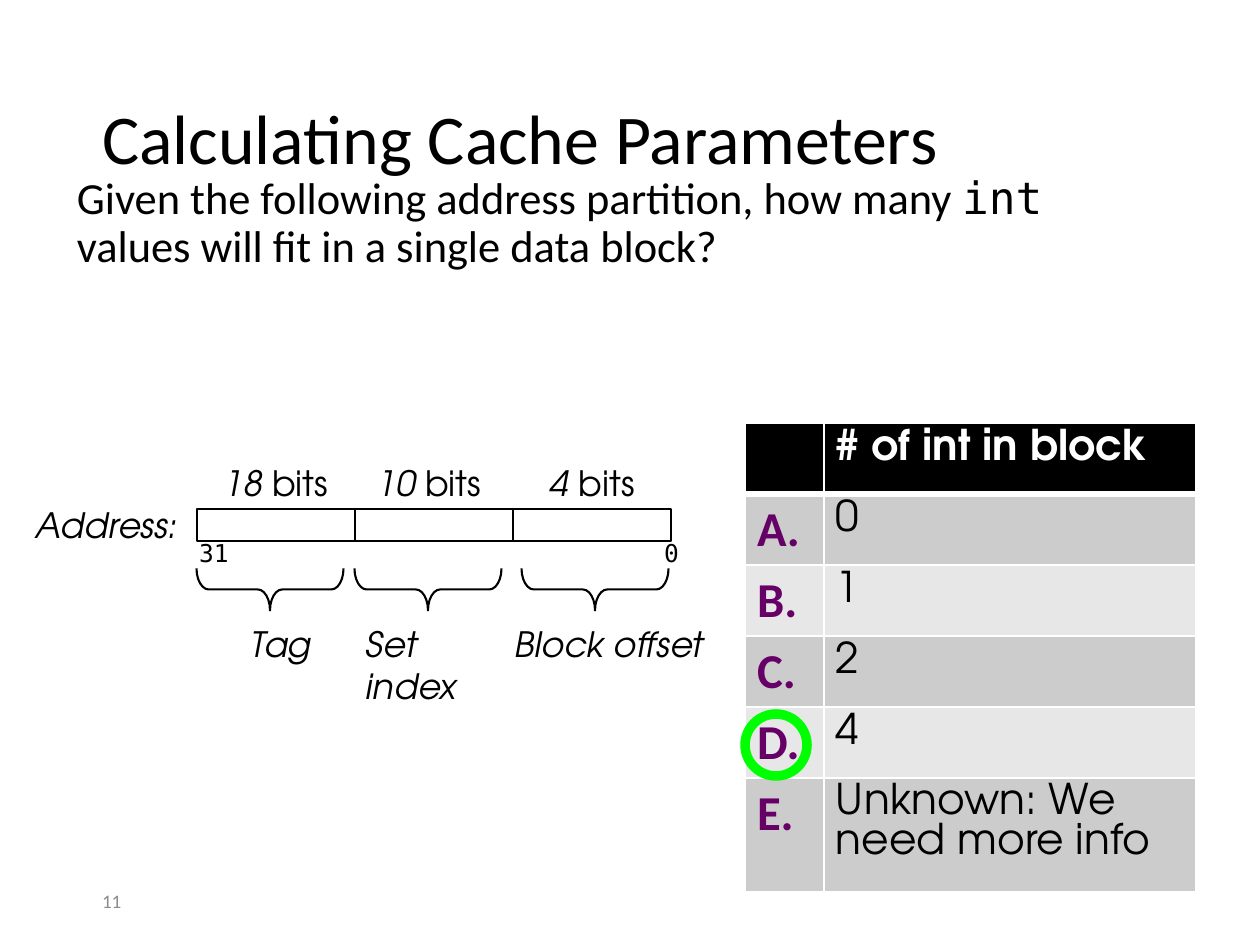
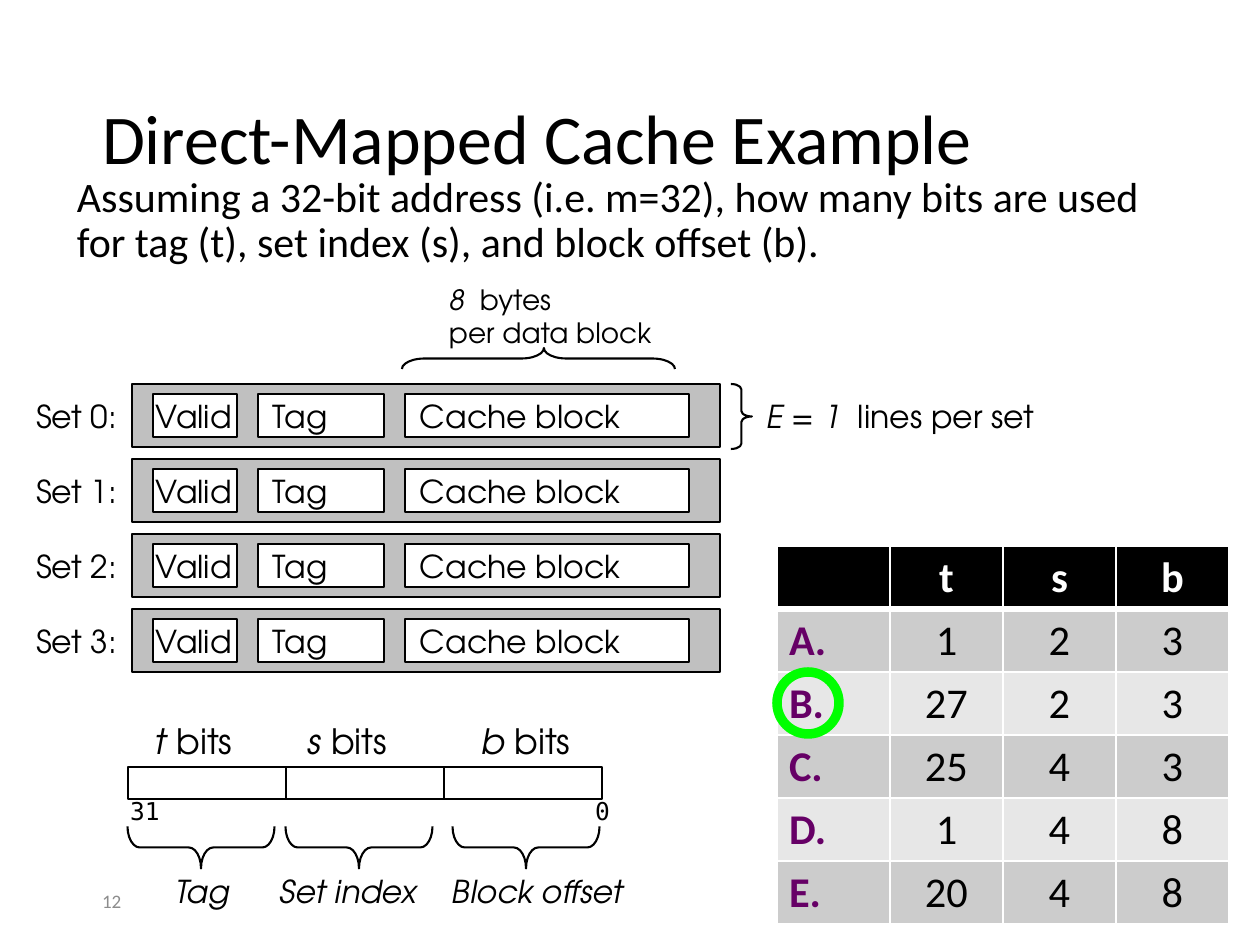
"""Build two lecture slides about cache addresses."""
import lxml.etree
import pptx
import pptx.dml.color
import pptx.enum.shapes
import pptx.enum.text
import pptx.oxml.ns
import pptx.util

RGB = pptx.dml.color.RGBColor
SHAPE = pptx.enum.shapes.MSO_SHAPE
ANCHOR = pptx.enum.text.MSO_ANCHOR
ALIGN = pptx.enum.text.PP_ALIGN
PX = 6000

BLACK = RGB(0x00, 0x00, 0x00)
WHITE = RGB(0xFF, 0xFF, 0xFF)
GREY = RGB(0x8C, 0x8C, 0x8C)
SILVER = RGB(0xC0, 0xC0, 0xC0)
PURPLE = RGB(0x66, 0x00, 0x66)
GREEN = RGB(0x00, 0xFF, 0x00)
BANDS = (RGB(0xE7, 0xE7, 0xE7), RGB(0xCC, 0xCC, 0xCC))

SANS = "Calibri"
MONO = "DejaVu Sans Mono"
GEO = "TeX Gyre Adventor"
DEFAULT_PAD = (15, 8, 15, 8)
TIGHT_PAD = (12, 6, 12, 6)
ITALIC = {"italic": True}


class Deck:
    """Hold the presentation style and the current slide."""

    def __init__(self, width, height):
        self.prs = pptx.Presentation()
        self.prs.slide_width = width * PX
        self.prs.slide_height = height * PX
        self.s = None

    def slide(self, title, body, size, number):
        self.s = self.prs.slides.add_slide(self.prs.slide_layouts[6])
        self.text((87, 50, 1087, 183), title, 33, SANS, wrap=True,
                  para={"line_spacing": 0.9})
        self.text((62, 168, 1113, 116), body, size, SANS, wrap=True,
                  anchor=ANCHOR.TOP,
                  para={"line_spacing": 0.9, "space_before": pptx.util.Pt(7.5)})
        self.text((87, 876, 283, 50), number, 9, SANS, GREY, wrap=True)

    def fill_text(self, tf, content, size, font, color=BLACK, para=None, **style):
        paragraphs = [[(content, {})]] if isinstance(content, str) else content
        for i, runs in enumerate(paragraphs):
            p = tf.add_paragraph() if i else tf.paragraphs[0]
            for key, value in {"alignment": ALIGN.LEFT, **(para or {})}.items():
                setattr(p, key, value)
            for text, changes in runs:
                r = p.add_run()
                r.text = text
                values = {"name": font, "size": pptx.util.Pt(size), **style, **changes}
                for key, value in values.items():
                    setattr(r.font, key, value)
                r.font.color.rgb = color

    def frame(self, tf, pad, anchor, wrap):
        sides = ("margin_left", "margin_top", "margin_right", "margin_bottom")
        values = {side: value * PX for side, value in zip(sides, pad)}
        values.update(vertical_anchor=anchor, word_wrap=wrap)
        for key, value in values.items():
            setattr(tf, key, value)

    def text(self, box, content, size, font=GEO, color=BLACK, pad=DEFAULT_PAD,
             anchor=ANCHOR.MIDDLE, wrap=False, para=None, **style):
        tf = self.s.shapes.add_textbox(*(v * PX for v in box)).text_frame
        self.frame(tf, pad, anchor, wrap)
        self.fill_text(tf, content, size, font, color, para, **style)

    def caption(self, box, content, size, wrap=False, **style):
        self.text(box, content, size, pad=TIGHT_PAD, anchor=ANCHOR.TOP,
                  wrap=wrap, **style)

    def shape(self, kind, box, fill=None, line=BLACK, weight=1):
        sp = self.s.shapes.add_shape(kind, *(v * PX for v in box))
        sp.shadow.inherit = False
        if fill is None:
            sp.fill.background()
        else:
            sp.fill.solid()
            sp.fill.fore_color.rgb = fill
        sp.line.color.rgb = line
        sp.line.width = pptx.util.Pt(weight)
        return sp

    def field(self, box, label, pad=DEFAULT_PAD):
        tf = self.shape(SHAPE.RECTANGLE, box, WHITE).text_frame
        self.frame(tf, pad, ANCHOR.MIDDLE, False)
        self.fill_text(tf, label, 14.9, GEO)

    def brace(self, box, adjust, turn=0):
        x, y, w, h = box
        if turn:
            x, y, w, h = x + (w - h) // 2, y + (h - w) // 2, h, w
        sp = self.shape(SHAPE.RIGHT_BRACE, (x, y, w, h))
        sp.rotation = turn
        for i, value in enumerate(adjust):
            sp.adjustments[i] = value

    def ring(self, x, y):
        self.shape(SHAPE.OVAL, (x, y, 62, 62), line=GREEN, weight=4.5)

    def address(self, x, y, bits, names, size):
        for i, (left, (letter, width)) in enumerate(zip((15, 168, 341), bits)):
            self.caption((x + left, y - 53, width, 55),
                         [[(letter + " ", ITALIC), ("bits", {})]], 16.5)
            self.shape(SHAPE.RECTANGLE, (x + i * 158, y, 158, 32))
        for left, width, label in ((-13, 61, "31"), (452, 46, "0")):
            self.text((x + left, y + 21, width, 46), label, 11.6, MONO)
        for left in (0, 158, 325):
            self.brace((x + left, y + 60, 147, 42), (0.29, 0.5), 90)
        for label, left, top, width, height, wrap in names:
            self.caption((x + left, y + top, width, height), label, size, wrap,
                         italic=True)

    def borders(self, cell, row):
        weights = {"L": 1, "R": 1, "T": 3 if row == 1 else 1, "B": 1 if row else 3}
        tag = pptx.oxml.ns.qn
        props = cell._tc.get_or_add_tcPr()
        for side, weight in weights.items():
            ln = lxml.etree.SubElement(props, tag("a:ln" + side),
                                       w=str(pptx.util.Pt(weight)))
            fill = lxml.etree.SubElement(ln, tag("a:solidFill"))
            lxml.etree.SubElement(fill, tag("a:srgbClr"), val=str(WHITE))

    def table(self, x, y, cols, heights, rows, key_size, font, para):
        box = (x, y, sum(cols), sum(heights))
        table = self.s.shapes.add_table(len(rows), len(cols),
                                        *(v * PX for v in box)).table
        for col, width in zip(table.columns, cols):
            col.width = width * PX
        for i, (values, height) in enumerate(zip(rows, heights)):
            table.rows[i].height = height * PX
            for j, value in enumerate(values):
                cell = table.cell(i, j)
                self.borders(cell, i)
                cell.fill.solid()
                cell.fill.fore_color.rgb = BANDS[i % 2] if i else BLACK
                self.frame(cell, TIGHT_PAD, ANCHOR.TOP, True)
                if not value:
                    continue
                if j:
                    self.fill_text(cell.text_frame, value, 20, font,
                                   BLACK if i else WHITE, para, bold=i == 0)
                else:
                    self.fill_text(cell.text_frame, value, key_size, SANS, PURPLE,
                                   bold=True)


def parameters(deck):
    """Draw the question on the number of values in a block."""
    deck.slide("Calculating Cache Parameters",
               [[("Given the following address partition, how many ", {}),
                 ("int", {"name": MONO}),
                 (" values will fit in a single data block?", {})]], 21, "11")
    deck.address(197, 509, (("18", 131), ("10", 131), ("4", 111)),
                 (("Tag", 42, 108, 88, 55, False),
                  ("Set index", 157, 108, 157, 98, True),
                  ("Block offset", 306, 108, 221, 55, False)), 16.5)
    deck.text((21, 495, 177, 58), "Address:", 16.5, italic=True)
    rows = (("", "# of int in block"), ("A.", "0"), ("B.", "1"), ("C.", "2"),
            ("D.", "4"), ("E.", "Unknown: We need more info"))
    deck.table(745, 423, (79, 372), [71] * 5 + [114], rows, 23, GEO,
               {"line_spacing": pptx.util.Pt(18.5)})
    deck.ring(745, 714)


def direct_mapped(deck):
    """Draw the cache sets and the question on address bits."""
    deck.slide("Direct-Mapped Cache Example",
               "Assuming a 32-bit address (i.e. m=32), how many bits are used "
               "for tag (t), set index (s), and block offset (b).", 19.8, "12")
    for i in range(4):
        y = 384 + i * 75
        deck.shape(SHAPE.RECTANGLE, (132, y, 588, 63), SILVER)
        deck.field((153, y + 10, 84, 43), "Valid", (3, 8, 15, 8))
        deck.field((258, y + 10, 126, 43), "Tag")
        deck.field((405, y + 10, 284, 43), "Cache block")
        deck.text((21, y + 5, 113, 53), f"Set {i}:", 14.9)
    deck.brace((731, 384, 21, 65), (0.26, 0.5))
    deck.text((751, 389, 299, 53),
              [[("E = 1 ", ITALIC), (" lines per set", {})]], 14.9)
    deck.brace((402, 348, 273, 21), (1.08, 0.52), 270)
    deck.text((434, 274, 236, 84),
              [[("8 ", ITALIC), (" bytes", {})], [("per data block", {})]], 13.2)
    rows = (("", "t", "s", "b"), ("A.", "1", "2", "3"), ("B.", "27", "2", "3"),
            ("C.", "25", "4", "3"), ("D.", "1", "4", "8"), ("E.", "20", "4", "8"))
    deck.table(777, 546, [113] * 4, [63] * 6, rows, 20, SANS,
               {"alignment": ALIGN.CENTER})
    deck.address(128, 767, (("t", 104), ("s", 105), ("b", 116)),
                 (("Tag", 35, 99, 82, 50, False),
                  ("Set index", 140, 99, 186, 50, True),
                  ("Block offset", 312, 99, 200, 50, False)), 14.9)
    deck.ring(777, 672)


def main():
    """Build and save the slides."""
    deck = Deck(1260, 945)
    parameters(deck)
    direct_mapped(deck)
    deck.prs.save("out.pptx")


if __name__ == "__main__":
    main()
